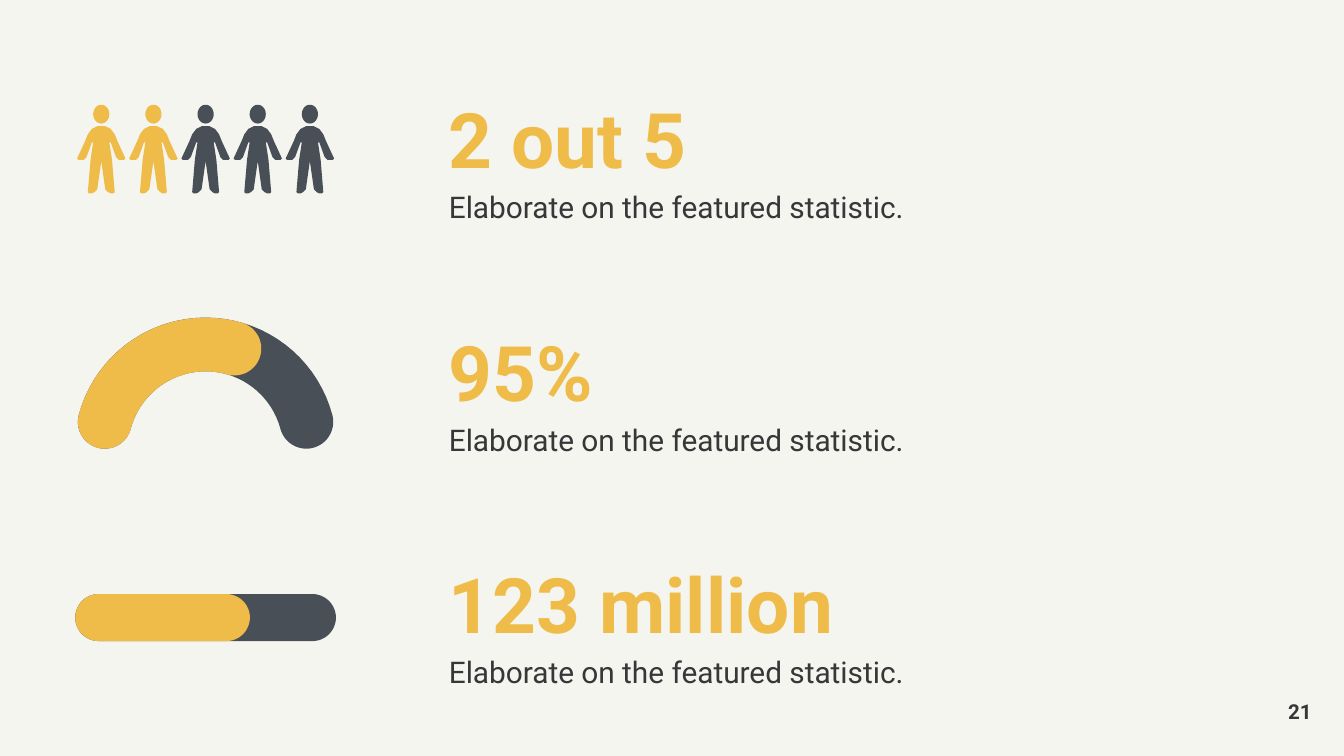
from dataclasses import dataclass
from math import cos, radians, sin

from pptx import Presentation
from pptx.dml.color import RGBColor
from pptx.enum.shapes import MSO_SHAPE
from pptx.enum.text import MSO_ANCHOR, MSO_AUTO_SIZE, PP_ALIGN
from pptx.util import Inches, Pt

ROUNDED = MSO_SHAPE.ROUNDED_RECTANGLE
LEFT, RIGHT = PP_ALIGN.LEFT, PP_ALIGN.RIGHT
TOP, MIDDLE = MSO_ANCHOR.TOP, MSO_ANCHOR.MIDDLE
FIT, FIXED = MSO_AUTO_SIZE.SHAPE_TO_FIT_TEXT, MSO_AUTO_SIZE.NONE


@dataclass(frozen=True)
class Theme:
    """Colours, font and type sizes of the slide."""
    paper: RGBColor = RGBColor.from_string("F5F5EF")
    accent: RGBColor = RGBColor.from_string("EFBC49")
    slate: RGBColor = RGBColor.from_string("494F56")
    ink: RGBColor = RGBColor.from_string("363739")
    font: str = "Roboto"
    figure: int = 41
    body: int = 16
    number: int = 11


THEME = Theme()
WIDTH = 10
HEIGHT = WIDTH * 9 / 16
ICON_X, ICON_W = 0.56, 1.94
ICON_MID = ICON_X + ICON_W / 2
TEXT_X, TEXT_W = 3.34, 4.97
ROW_TOP, ROW_PITCH = 0.55, 1.73
PERSON_PITCH = ICON_W / 5
HALF_BODY = [
    (0, 0.16), (0.03, 0.16), (0.07, 0.18), (0.1, 0.22), (0.12, 0.27),
    (0.18, 0.4), (0.17, 0.41), (0.15, 0.41), (0.13, 0.41), (0.11, 0.39),
    (0.07, 0.28), (0.06, 0.28), (0.08, 0.41), (0.1, 0.65), (0.09, 0.66),
    (0.07, 0.66), (0.05, 0.65), (0.03, 0.63), (0, 0.42),
]
STATS = ["2 out 5", "95%", "123 million"]
DETAIL = "Elaborate on the featured statistic."


def row_y(row, offset=0):
    """Return the height of a point below the top of a row."""
    return ROW_TOP + row * ROW_PITCH + offset


def paint(sp, color):
    """Give a shape a flat fill with no line or shadow."""
    sp.fill.solid()
    sp.fill.fore_color.rgb = color
    sp.line.fill.background()
    sp.shadow.inherit = False


def add_text(s, box, text, size, color, bold=False, spacing=None,
             align=LEFT, anchor=TOP, fit=FIT):
    """Add a one-run text box without margins."""
    tf = s.shapes.add_textbox(*map(Inches, box)).text_frame
    tf.margin_left = tf.margin_right = tf.margin_top = tf.margin_bottom = 0
    tf.word_wrap, tf.auto_size, tf.vertical_anchor = True, fit, anchor
    p = tf.paragraphs[0]
    p.alignment, p.line_spacing = align, spacing
    r = p.add_run()
    r.text = text
    r.font.name, r.font.size, r.font.bold = THEME.font, Pt(size), bold
    r.font.color.rgb = color


def arc_points(cx, cy, rx, ry, start, end, steps=36):
    """Return points along an ellipse between two angles in degrees."""
    angles = [radians(start + (end - start) * i / steps) for i in range(steps + 1)]
    return [(cx + rx * cos(a), cy - ry * sin(a)) for a in angles]


def add_outlines(s, outlines, color):
    """Draw closed outlines as one freeform."""
    paths = [[(Inches(x), Inches(y)) for x, y in points] for points in outlines]
    builder = s.shapes.build_freeform(*paths[0][0], scale=1.0)
    for i, points in enumerate(paths):
        if i:
            builder.move_to(*points[0])
        builder.add_line_segments(points[1:], close=True)
    paint(builder.convert_to_shape(), color)


def person_outlines(column, top):
    """Return the head and body of one person in a column."""
    cx = ICON_X + (column + 0.5) * PERSON_PITCH
    body = HALF_BODY + [(-x, y) for x, y in reversed(HALF_BODY[1:-1])]
    return [arc_points(cx, top + 0.07, 0.06, 0.07, 0, 350),
            [(cx + x, top + y) for x, y in body]]


def add_people(s, columns, color):
    """Draw the people of the given columns in one colour."""
    top = row_y(0, 0.23)
    add_outlines(s, [o for c in columns for o in person_outlines(c, top)], color)


def add_gauge(s, end, color, start=165, radius=0.75 / cos(radians(15)), cap=0.2):
    """Draw a thick round-capped arc from the left to an end angle."""
    cx, cy = ICON_MID, row_y(1, 1.06)
    outer, inner = radius + cap, radius - cap
    (x0, y0), (x1, y1) = arc_points(cx, cy, radius, radius, start, end, 1)
    outline = (arc_points(cx, cy, outer, outer, start, end)
               + arc_points(x1, y1, cap, cap, end, end - 180)
               + arc_points(cx, cy, inner, inner, end, start)
               + arc_points(x0, y0, cap, cap, start + 180, start))
    add_outlines(s, [outline], color)


def add_bar(s, width, color):
    """Draw a round-ended progress bar."""
    box = ICON_X, row_y(2, 0.41), width, 0.35
    sp = s.shapes.add_shape(ROUNDED, *map(Inches, box))
    sp.adjustments[0] = 0.5
    paint(sp, color)


def add_stat(s, row, figure):
    """Add a large figure and its explanation."""
    add_text(s, (TEXT_X, row_y(row), TEXT_W, 0.69), figure,
             THEME.figure, THEME.accent, bold=True, spacing=1.2)
    add_text(s, (TEXT_X, row_y(row, 0.75), TEXT_W, 0.27), DETAIL,
             THEME.body, THEME.ink, spacing=1.4)


def main():
    """Build and save the statistics slide."""
    prs = Presentation()
    prs.slide_width, prs.slide_height = Inches(WIDTH), Inches(HEIGHT)
    s = prs.slides.add_slide(prs.slide_layouts[6])
    s.background.fill.solid()
    s.background.fill.fore_color.rgb = THEME.paper
    for row, figure in enumerate(STATS):
        add_stat(s, row, figure)
    add_gauge(s, 15, THEME.slate)
    add_gauge(s, 74, THEME.accent)
    add_bar(s, ICON_W, THEME.slate)
    add_bar(s, ICON_W * 0.67, THEME.accent)
    add_people(s, range(2), THEME.accent)
    add_people(s, range(2, 5), THEME.slate)
    add_text(s, (9.16, 5.19, 0.6, 0.2), "21", THEME.number, THEME.ink,
             bold=True, align=RIGHT, anchor=MIDDLE, fit=FIXED)
    prs.save("out.pptx")


if __name__ == "__main__":
    main()
